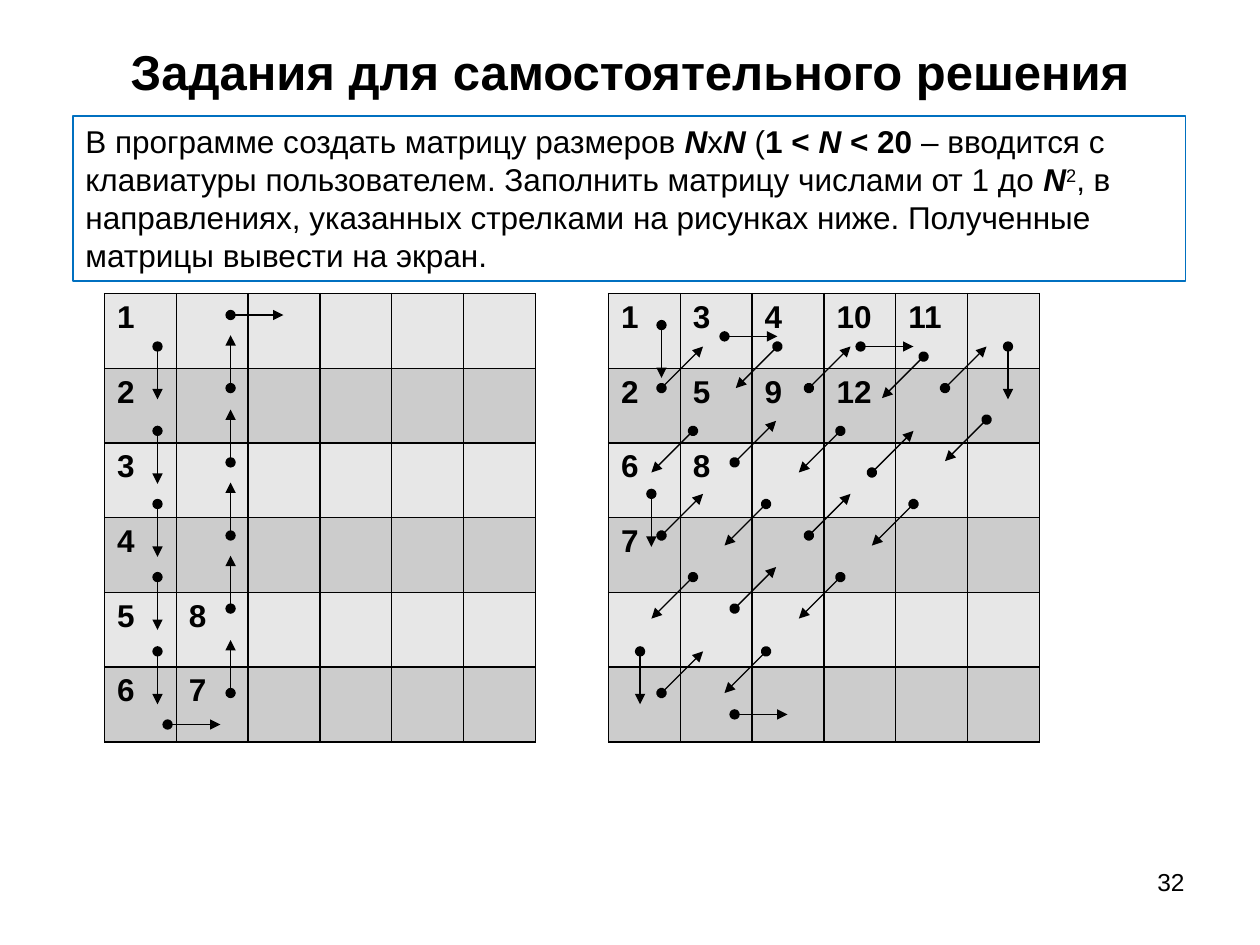
"""Build a slide with two matrix-filling exercises shown as tables with arrows."""
from dataclasses import dataclass

import lxml.etree
import pptx
import pptx.dml.color
import pptx.enum.shapes
import pptx.enum.text
import pptx.oxml.ns
import pptx.util

Inches = pptx.util.Inches
PP_ALIGN = pptx.enum.text.PP_ALIGN
MSO_ANCHOR = pptx.enum.text.MSO_ANCHOR
qn = pptx.oxml.ns.qn

SIZE = 6
COL_W, ROW_H = 0.57, 0.593
BANDS = ("E7E7E7", "CCCCCC")
STEPS = {
    "down": (0, 0.42),
    "up": (0, -0.42),
    "right": (0.42, 0),
    "rise": (0.33, -0.33),
    "fall": (-0.33, 0.33),
}


@dataclass
class Matrix:
    left: float
    top: float
    rows: list
    arrows: dict


LEFT_MATRIX = Matrix(
    0.83, 2.33,
    [["1"], ["2"], ["3"], ["4"], ["5", "8"], ["6", "7"]],
    {
        "down": [(1.25, y) for y in (2.75, 3.42, 4, 4.58, 5.17)],
        "up": [(1.83, y) for y in (5.5, 4.83, 4.25, 3.67, 3.08)],
        "right": [(1.33, 5.75), (1.83, 2.5)],
    },
)
RIGHT_MATRIX = Matrix(
    4.83, 2.33,
    [["1", "3", "4", "10", "11"], ["2", "5", "9", "12"], ["6", "8"], ["7"]],
    {
        "down": [(5.25, 2.58), (5.17, 3.92), (5.08, 5.17), (8, 2.75)],
        "right": [(5.75, 2.67), (6.83, 2.75), (5.83, 5.67)],
        "rise": [(5.25, 3.08), (5.25, 4.25), (5.83, 3.67), (6.42, 3.08),
                 (5.25, 5.5), (5.83, 4.83), (6.42, 4.25), (6.92, 3.75),
                 (7.5, 3.08)],
        "fall": [(6.17, 2.75), (5.5, 3.42), (6.67, 3.42), (6.08, 4),
                 (5.5, 4.58), (7.33, 2.83), (7.83, 3.33), (7.25, 4),
                 (6.67, 4.58), (6.08, 5.17)],
    },
)

BOLD = {"bold": True}
VARIABLE = {"bold": True, "italic": True}
TASK = [
    ("В программе создать матрицу размеров ", {}),
    ("N", VARIABLE),
    ("x", {}),
    ("N", VARIABLE),
    (" (", {}),
    ("1 < ", BOLD),
    ("N ", VARIABLE),
    ("< 20 ", BOLD),
    ("– вводится с клавиатуры пользователем. Заполнить матрицу числами от 1 до ", {}),
    ("N", VARIABLE),
    ("2", {"baseline": "30000"}),
    (", в направлениях, указанных стрелками на рисунках ниже. "
     "Полученные матрицы вывести на экран.", {}),
]


def rgb(value: str) -> pptx.dml.color.RGBColor:
    return pptx.dml.color.RGBColor.from_string(value)


def add_run(p, text: str, size: float = 18, **formats) -> None:
    r = p.add_run()
    r.text = text
    baseline = formats.pop("baseline", None)
    values = {"name": "Arial", "size": pptx.util.Pt(size),
              "bold": False, "italic": False} | formats
    for name, value in values.items():
        setattr(r.font, name, value)
    r.font.color.rgb = rgb("000000")
    if baseline:
        r.font._element.set("baseline", baseline)


def add_borders(cell) -> None:
    tcPr = cell._tc.get_or_add_tcPr()
    for side in ("lnL", "lnR", "lnT", "lnB"):
        ln = lxml.etree.SubElement(tcPr, qn(f"a:{side}"), w="12700")
        fill = lxml.etree.SubElement(ln, qn("a:solidFill"))
        lxml.etree.SubElement(fill, qn("a:srgbClr"), val="000000")


def add_arrow(s, x: float, y: float, dx: float, dy: float) -> None:
    sp = s.shapes.add_connector(
        pptx.enum.shapes.MSO_CONNECTOR.STRAIGHT,
        Inches(x), Inches(y), Inches(x + dx), Inches(y + dy))
    sp.line.color.rgb = rgb("000000")
    sp.line.width = pptx.util.Pt(0.75)
    ln = sp.line._get_or_add_ln()
    lxml.etree.SubElement(ln, qn("a:headEnd"), type="oval")
    lxml.etree.SubElement(ln, qn("a:tailEnd"), type="triangle")
    lxml.etree.SubElement(sp._element.spPr, qn("a:effectLst"))


def add_matrix(s, matrix: Matrix) -> None:
    table = s.shapes.add_table(
        SIZE, SIZE, Inches(matrix.left), Inches(matrix.top),
        Inches(SIZE * COL_W), Inches(SIZE * ROW_H)).table
    for column in table.columns:
        column.width = Inches(COL_W)
    for i, row in enumerate(table.rows):
        row.height = Inches(ROW_H)
        for cell in row.cells:
            add_borders(cell)
            cell.fill.solid()
            cell.fill.fore_color.rgb = rgb(BANDS[i % 2])
    for i, numbers in enumerate(matrix.rows):
        for j, number in enumerate(numbers):
            add_run(table.cell(i, j).text_frame.paragraphs[0], number, bold=True)
    for direction, starts in matrix.arrows.items():
        for x, y in starts:
            add_arrow(s, x, y, *STEPS[direction])


def add_title(s, text: str) -> None:
    sp = s.shapes.title
    sp.left, sp.top, sp.width, sp.height = map(Inches, (0.5, 0.3, 9, 0.53))
    tf = sp.text_frame
    tf.auto_size = pptx.enum.text.MSO_AUTO_SIZE.NONE
    tf.vertical_anchor = MSO_ANCHOR.MIDDLE
    p = tf.paragraphs[0]
    p.alignment = PP_ALIGN.CENTER
    add_run(p, text, 28, bold=True)


def add_task(s) -> None:
    sp = s.shapes.add_shape(
        pptx.enum.shapes.MSO_SHAPE.RECTANGLE,
        Inches(0.58), Inches(0.92), Inches(8.83), Inches(1.31))
    sp.shadow.inherit = False
    sp.fill.background()
    sp.line.color.rgb = rgb("0070C0")
    sp.line.width = pptx.util.Pt(0.75)
    tf = sp.text_frame
    tf.word_wrap = True
    tf.vertical_anchor = MSO_ANCHOR.TOP
    p = tf.paragraphs[0]
    p.alignment = PP_ALIGN.LEFT
    for text, formats in TASK:
        add_run(p, text, **formats)


def add_page_number(s, number: str) -> None:
    sp = s.shapes.add_textbox(Inches(7.17), Inches(6.83), Inches(2.33), Inches(0.52))
    sp.text_frame.word_wrap = True
    p = sp.text_frame.paragraphs[0]
    p.alignment = PP_ALIGN.RIGHT
    add_run(p, number, 14)


def main() -> None:
    prs = pptx.Presentation()
    prs.slide_width, prs.slide_height = Inches(10), Inches(7.5)
    s = prs.slides.add_slide(prs.slide_layouts[5])
    add_title(s, "Задания для самостоятельного решения")
    add_page_number(s, "32")
    add_matrix(s, LEFT_MATRIX)
    add_task(s)
    add_matrix(s, RIGHT_MATRIX)
    prs.save("out.pptx")


if __name__ == "__main__":
    main()
